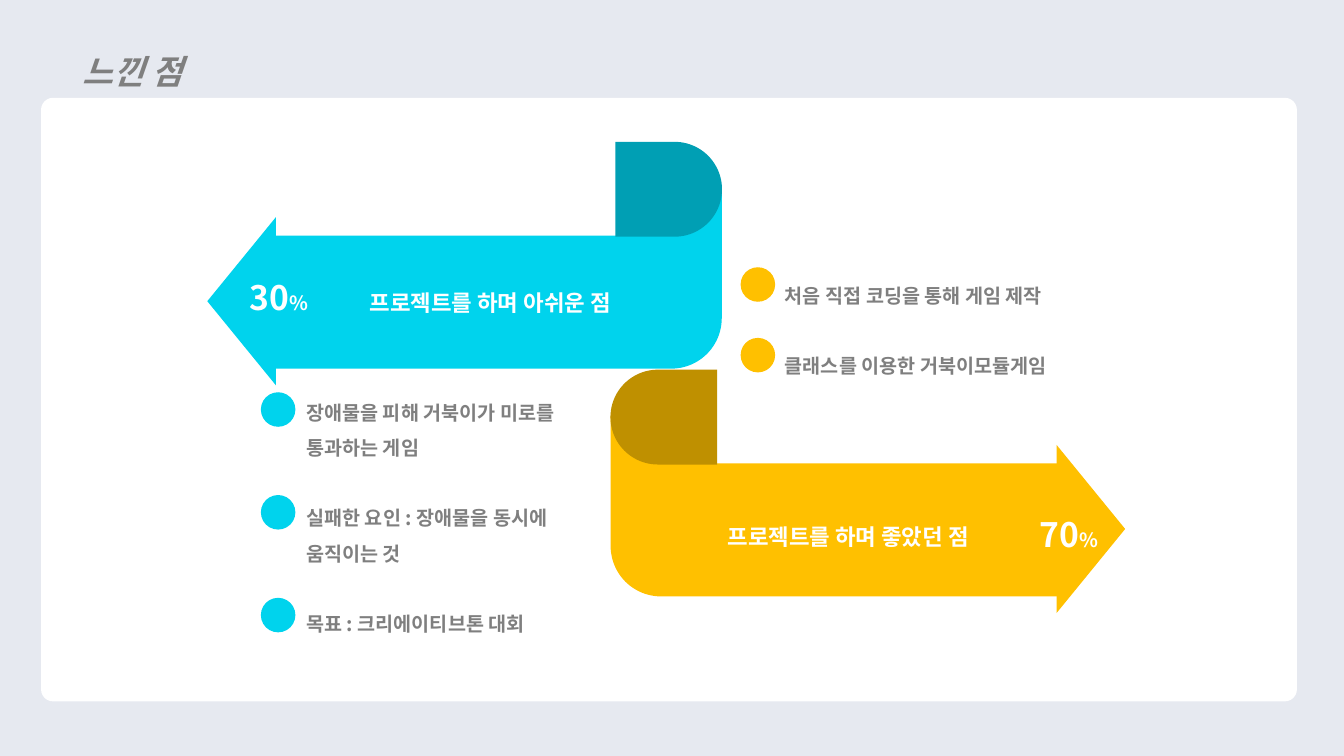
from dataclasses import dataclass
from math import cos, pi, sin

from lxml import etree
from pptx import Presentation
from pptx.dml.color import RGBColor
from pptx.enum.shapes import MSO_SHAPE
from pptx.enum.text import MSO_ANCHOR, PP_ALIGN
from pptx.oxml.ns import qn
from pptx.util import Cm, Pt

CARD = MSO_SHAPE.ROUNDED_RECTANGLE
FOLD = MSO_SHAPE.ROUND_2_SAME_RECTANGLE
HEAD = MSO_SHAPE.ISOSCELES_TRIANGLE
DOT = MSO_SHAPE.OVAL
LEFT, MID = PP_ALIGN.LEFT, PP_ALIGN.CENTER
TOP, HALF = MSO_ANCHOR.TOP, MSO_ANCHOR.MIDDLE
FONT = "Noto Sans CJK KR"
WHITE, GRAY, BACK = "FFFFFF", "7F7F7F", "E6E9F0"
ROUND, LONG, TALL = 1.27, 11.25, 4.62
STEPS = 24

Box = tuple[float, float, float, float]


@dataclass
class Banner:
    """One folded arrow with its label, share and list of points."""
    edge: float
    top: float
    side: int
    fill: str
    dark: str
    label: str
    label_box: Box
    share: str
    share_box: Box
    items: list[str]
    list_box: Box
    dot_x: float
    dot_y: float
    dot_gap: float


BANNERS = [
    Banner(18.19, 4.67, -1, "00D3ED", "009FB4",
           "프로젝트를 하며 아쉬운 점", (7.21, 6.22, 10.29, 2.82),
           "30", (6.02, 6.86, 2.01, 1.27),
           ["장애물을 피해 거북이가 미로를 통과하는 게임",
            "실패한 요인 : 장애물을 동시에 움직이는 것",
            "목표 : 크리에이티브톤 대회"],
           (7.47, 9.68, 7.52, 6.02), 7.01, 10.32, 2.59),
    Banner(15.39, 10.41, 1, "FFC000", "BF9000",
           "프로젝트를 하며 좋았던 점", (16.23, 12.11, 10.29, 2.82),
           "70", (25.93, 12.83, 2.01, 1.27),
           ["처음 직접 코딩을 통해 게임 제작",
            "클래스를 이용한 거북이모듈게임"],
           (19.53, 6.73, 8.81, 7.16), 19.1, 7.17, 1.78),
]


def color(code: str) -> RGBColor:
    """Turn a hex string into a colour."""
    return RGBColor.from_string(code)


def paint(shape, fill: str) -> None:
    """Give a shape a flat fill without line or shadow."""
    shape.shadow.inherit = False
    shape.fill.solid()
    shape.fill.fore_color.rgb = color(fill)
    shape.line.fill.background()


def draw(slide, kind, mid: tuple[float, float], size: tuple[float, float],
         fill: str, turn: int = 0, adjust: tuple[float, ...] = ()) -> None:
    """Draw a preset shape around its centre."""
    (x, y), (wide, high) = mid, size
    shape = slide.shapes.add_shape(
        kind, Cm(x - wide / 2), Cm(y - high / 2), Cm(wide), Cm(high))
    shape.rotation = turn
    for spot, value in enumerate(adjust):
        shape.adjustments[spot] = value
    paint(shape, fill)


def write(slide, box: Box, lines: list[str], *, size: int, ink: str,
          align=LEFT, anchor=TOP, space: float = 1, after: int = 0,
          slant: bool = False, unit: str = "", small: int = 14) -> None:
    """Write bold paragraphs, each with an optional smaller unit."""
    frame = slide.shapes.add_textbox(*map(Cm, box)).text_frame
    frame.word_wrap = True
    frame.vertical_anchor = anchor
    for spot, line in enumerate(lines):
        para = frame.add_paragraph() if spot else frame.paragraphs[0]
        para.alignment = align
        para.line_spacing = space
        para.space_after = Pt(after)
        for part, points in ((line, size), (unit, small)):
            if not part:
                continue
            run = para.add_run()
            run.text = part
            font = run.font
            font.size, font.bold, font.italic = Pt(points), True, slant
            font.color.rgb = color(ink)
            font.name = FONT
            east = etree.SubElement(run._r.get_or_add_rPr(), qn("a:ea"))
            east.set("typeface", FONT)


def curve(drop: float) -> list[tuple[float, float]]:
    """Return a quarter circle that leaves the outer edge at a given drop."""
    turns = [pi / 2 * step / STEPS for step in range(STEPS + 1)]
    return [(ROUND - ROUND * cos(turn), drop + ROUND * sin(turn))
            for turn in turns]


def ribbon(slide, banner: Banner) -> None:
    """Draw the long band with its curved outer end."""
    spots = [*curve(TALL - ROUND), (LONG, TALL), (LONG, ROUND),
             *reversed(curve(0))]
    points = [(Cm(banner.edge + banner.side * x), Cm(banner.top + y))
              for x, y in spots]
    pen = slide.shapes.build_freeform(*points[-1])
    pen.add_line_segments(points[:-1], close=True)
    paint(pen.convert_to_shape(), banner.fill)


def show(slide, banner: Banner) -> None:
    """Draw a whole banner with its texts and dots."""
    turn = 90 * banner.side % 360
    ribbon(slide, banner)
    draw(slide, FOLD, (banner.edge + banner.side * 1.34, banner.top + 0.1),
         (2.39, 2.69), banner.dark, 360 - turn, (0.5, 0))
    draw(slide, HEAD, (banner.edge + banner.side * 12.1, banner.top + 2.92),
         (4.24, 1.73), banner.fill, turn)
    write(slide, banner.label_box, [banner.label], size=16, ink=WHITE,
          align=MID, anchor=HALF)
    write(slide, banner.share_box, [banner.share], size=24, ink=WHITE,
          align=MID, unit="%")
    write(slide, banner.list_box, banner.items, size=14, ink=GRAY,
          space=1.5, after=25)
    for spot in range(len(banner.items)):
        draw(slide, DOT, (banner.dot_x, banner.dot_y + spot * banner.dot_gap),
             (0.87, 0.87), banner.fill)


def main() -> None:
    """Build the slide and save it."""
    deck = Presentation()
    deck.slide_width, deck.slide_height = Cm(33.87), Cm(19.05)
    slide = deck.slides.add_slide(deck.slide_layouts[6])
    slide.background.fill.solid()
    slide.background.fill.fore_color.rgb = color(BACK)
    draw(slide, CARD, (16.86, 10.07), (31.65, 15.21), WHITE, adjust=(0.02,))
    write(slide, (1.83, 0.66, 12.14, 1.6), ["느낀 점"], size=24, ink=GRAY,
          space=1.5, slant=True)
    for banner in BANNERS:
        show(slide, banner)
    deck.save("out.pptx")


main()
